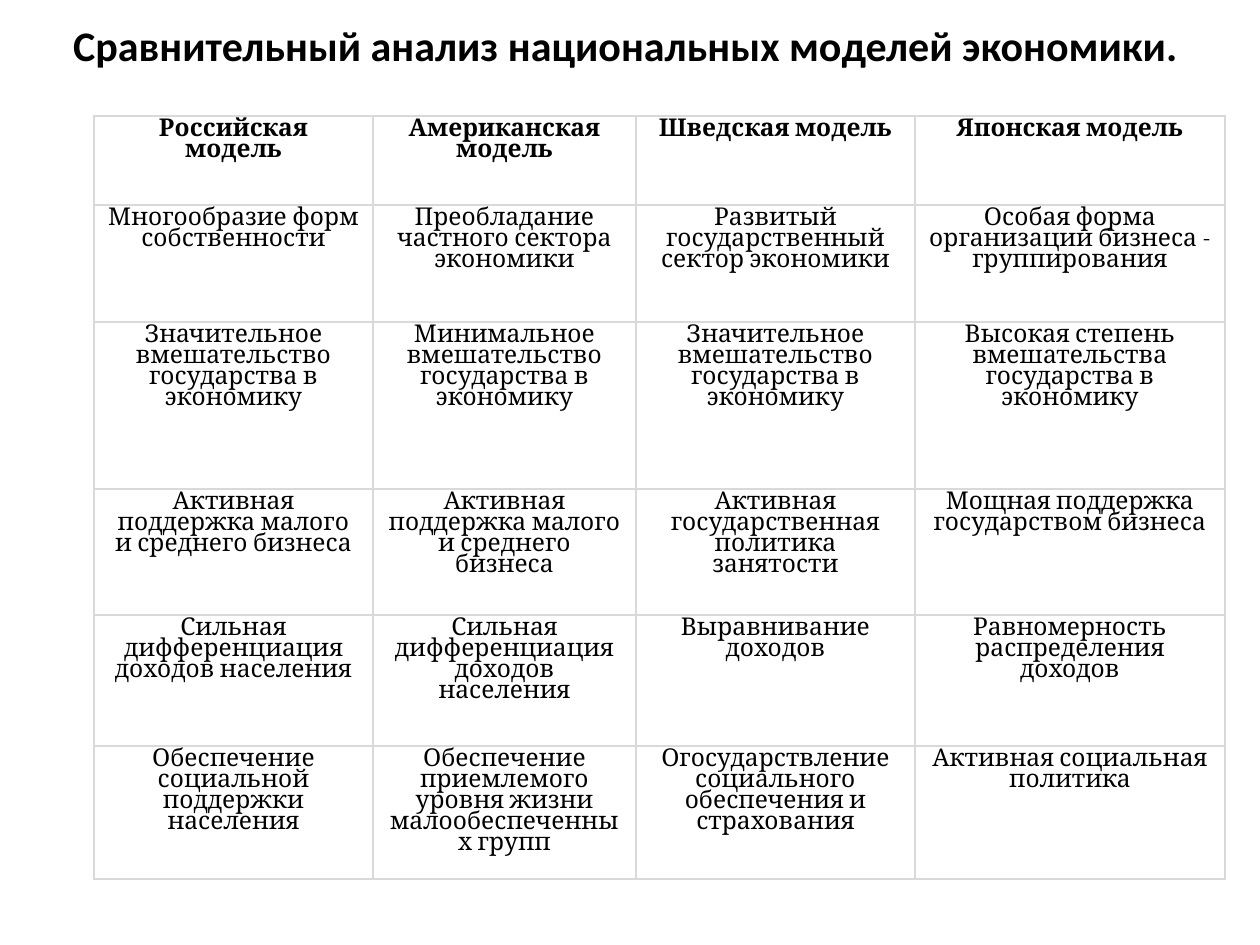
from lxml.etree import SubElement
from pptx import Presentation
from pptx.dml.color import RGBColor
from pptx.enum.text import MSO_ANCHOR as Anchor, PP_ALIGN as Align
from pptx.oxml.ns import qn
from pptx.util import Emu, Pt

PX = 914400 / 126
BLACK = RGBColor(0x00, 0x00, 0x00)
WHITE = RGBColor(0xFF, 0xFF, 0xFF)
BORDER = RGBColor(0xD9, 0xD9, 0xD9)

TITLE = "Сравнительный анализ национальных моделей экономики."
COLUMN_WIDTHS = [279, 263, 279, 310]
ROW_HEIGHTS = [89, 117, 167, 126, 131, 133]
MODELS = [
    ["Российская модель", "Американская модель", "Шведская модель", "Японская модель"],
    ["Многообразие форм собственности",
     "Преобладание частного сектора экономики",
     "Развитый государственный сектор экономики",
     "Особая форма организации бизнеса - группирования"],
    ["Значительное вмешательство государства в экономику",
     "Минимальное вмешательство государства в экономику",
     "Значительное вмешательство государства в экономику",
     "Высокая степень вмешательства государства в экономику"],
    ["Активная поддержка малого и среднего бизнеса",
     "Активная поддержка малого и среднего бизнеса",
     "Активная государственная политика занятости",
     "Мощная поддержка государством бизнеса"],
    ["Сильная дифференциация доходов населения",
     "Сильная дифференциация доходов населения",
     "Выравнивание доходов",
     "Равномерность распределения доходов"],
    ["Обеспечение социальной поддержки населения",
     "Обеспечение приемлемого уровня жизни малообеспеченных групп",
     "Огосударствление социального обеспечения и страхования",
     "Активная социальная политика"],
]


def px(length):
    """Turn pixels into EMU."""
    return Emu(round(length * PX))


def write_centred(text_frame, text, font_name, size, bold):
    """Write one centred black paragraph and return it."""
    text_frame.word_wrap = True
    paragraph = text_frame.paragraphs[0]
    paragraph.text = text
    paragraph.alignment = Align.CENTER
    font = paragraph.runs[0].font
    font.name, font.size, font.bold = font_name, Pt(size), bold
    font.color.rgb = BLACK
    return paragraph


def add_title(slide, left, top, width, height):
    """Place the heading in the given box."""
    text_frame = slide.shapes.add_textbox(px(left), px(top), px(width), px(height)).text_frame
    text_frame.vertical_anchor = Anchor.MIDDLE
    write_centred(text_frame, TITLE, "Calibri", 24, True)


def add_borders(cell):
    """Draw a thin grey line on all four sides of a cell."""
    properties = cell._tc.get_or_add_tcPr()
    for side in ("a:lnL", "a:lnR", "a:lnT", "a:lnB"):
        line = SubElement(properties, qn(side), w=str(Pt(1)))
        SubElement(SubElement(line, qn("a:solidFill")), qn("a:srgbClr"), val=str(BORDER))


def fill_cell(cell, text, bold):
    """Style one cell and write its text."""
    add_borders(cell)
    cell.fill.solid()
    cell.fill.fore_color.rgb = WHITE
    cell.margin_left = cell.margin_right = px(14)
    cell.margin_top = cell.margin_bottom = px(6)
    paragraph = write_centred(cell.text_frame, text, "Cambria", 14, bold)
    paragraph.line_spacing = Pt(12)
    paragraph.space_after = Pt(10)


def add_models_table(slide, left, top):
    """Place the comparison table with its corner at the given point."""
    table = slide.shapes.add_table(
        len(ROW_HEIGHTS), len(COLUMN_WIDTHS), px(left), px(top),
        px(sum(COLUMN_WIDTHS)), px(sum(ROW_HEIGHTS))).table
    table.horz_banding = False
    for column, width in zip(table.columns, COLUMN_WIDTHS):
        column.width = px(width)
    for index, (row, height) in enumerate(zip(table.rows, ROW_HEIGHTS)):
        row.height = px(height)
        for cell, text in zip(row.cells, MODELS[index]):
            fill_cell(cell, text, bold=index == 0)


def main():
    """Build the slide and save it."""
    presentation = Presentation()
    presentation.slide_width, presentation.slide_height = px(1260), px(945)
    slide = presentation.slides.add_slide(presentation.slide_layouts[6])
    add_title(slide, 54, 17, 1143, 55)
    add_models_table(slide, 94, 116)
    presentation.save("out.pptx")


if __name__ == "__main__":
    main()
